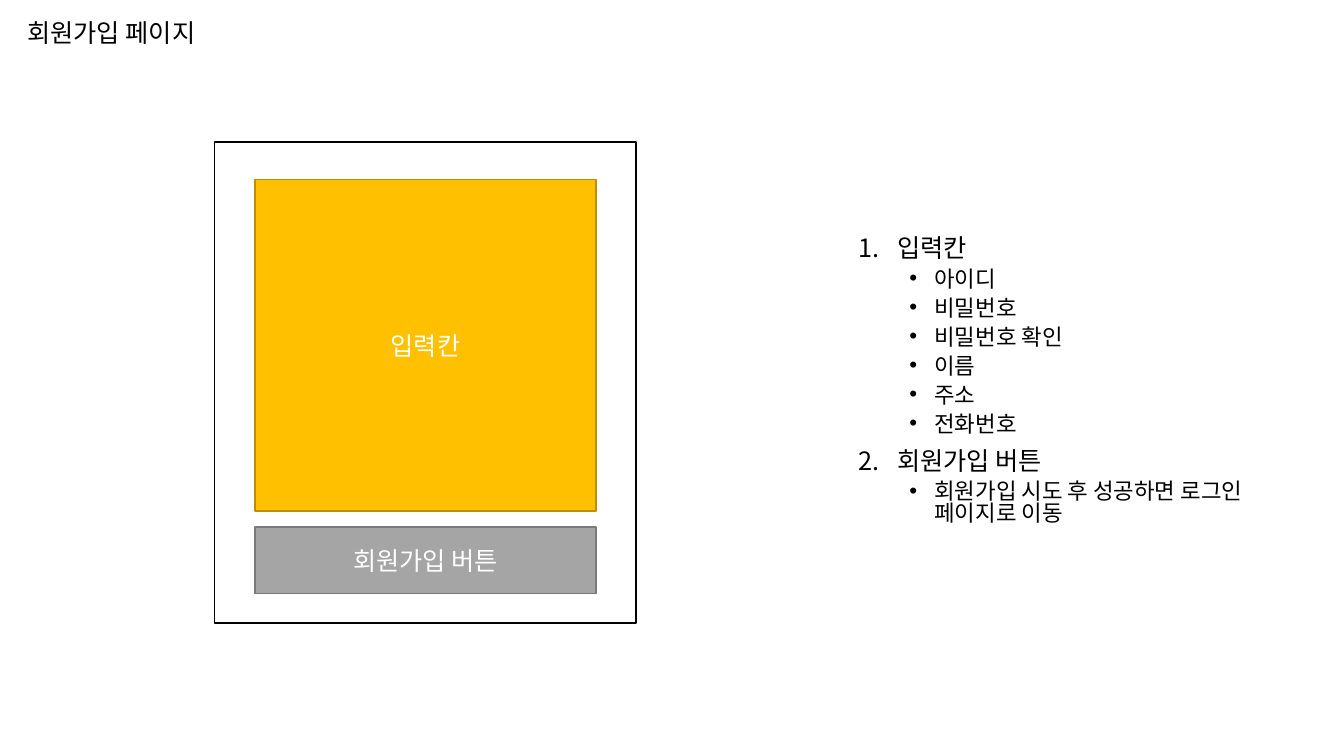
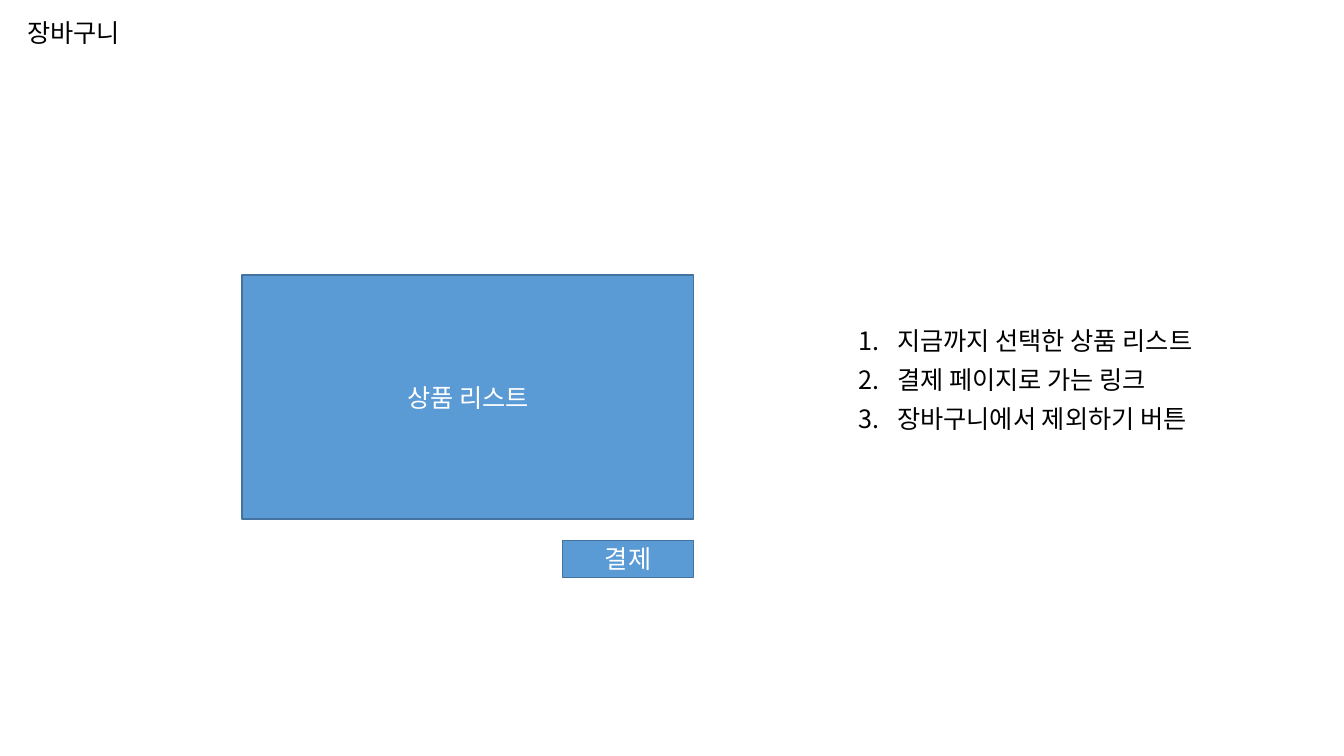
from dataclasses import dataclass

from lxml.etree import SubElement
from pptx import Presentation
from pptx.dml.color import RGBColor
from pptx.enum.shapes import MSO_SHAPE
from pptx.enum.text import MSO_ANCHOR, MSO_AUTO_SIZE, PP_ALIGN
from pptx.oxml.ns import qn
from pptx.util import Inches, Pt


@dataclass(frozen=True)
class Theme:
    font: str = "Noto Sans CJK KR"
    black: str = "000000"
    white: str = "FFFFFF"
    gold: tuple = ("FFC000", "BD8E00")  # fill, outline
    gray: tuple = ("A5A5A5", "7A7A7A")
    blue: tuple = ("5B9BD5", "43739E")
    paper: tuple = ("FFFFFF", "000000")
    main_size: int = 18
    detail_size: int = 16
    title_spacing: float = 0.9
    list_spacing: float = 0.82


THEME = Theme()
TITLE_ONLY = 5


def write(paragraph, text, *, size=THEME.main_size, color=THEME.black,
          align=PP_ALIGN.LEFT, spacing=None, before=0):
    """Put one formatted run into a paragraph."""
    paragraph.alignment = align
    paragraph.space_before = Pt(before)
    if spacing:
        paragraph.line_spacing = spacing
    run = paragraph.add_run()
    run.text = text
    run.font.size = Pt(size)
    run.font.name = THEME.font
    run.font.color.rgb = RGBColor.from_string(color)
    SubElement(run.font._element, qn("a:ea"), typeface=THEME.font)


def mark(paragraph, level):
    """Number a main item, or bullet a detail, with a hanging indent."""
    left, hanging = ((0.38, 0.38), (0.75, 0.25))[level]
    paragraph.level = level
    properties = paragraph._p.get_or_add_pPr()
    properties.set("marL", str(Inches(left)))
    properties.set("indent", str(-Inches(hanging)))
    if level:
        SubElement(properties, qn("a:buFont"), typeface="Arial")
        SubElement(properties, qn("a:buChar"), char="•")
    else:
        SubElement(properties, qn("a:buFont"), typeface="+mj-lt")
        SubElement(properties, qn("a:buAutoNum"), type="arabicPeriod")


class Wireframe:
    def __init__(self, theme):
        self.theme = theme
        self.deck = Presentation()
        self.deck.slide_width = Inches(13.33)
        self.deck.slide_height = Inches(7.5)
        self.slide = None

    def page(self, heading):
        self.slide = self.deck.slides.add_slide(self.deck.slide_layouts[TITLE_ONLY])
        title = self.slide.shapes.title
        title.left, title.top = Inches(0.17), Inches(0.1)
        title.width, title.height = Inches(4.47), Inches(0.48)
        frame = title.text_frame
        frame.auto_size = MSO_AUTO_SIZE.NONE
        frame.vertical_anchor = MSO_ANCHOR.MIDDLE
        write(frame.paragraphs[0], heading, spacing=self.theme.title_spacing)

    def block(self, left, top, width, height, colors, label=None):
        rectangle = self.slide.shapes.add_shape(
            MSO_SHAPE.RECTANGLE, Inches(left), Inches(top), Inches(width), Inches(height))
        fill, outline = colors
        rectangle.shadow.inherit = False
        rectangle.fill.solid()
        rectangle.fill.fore_color.rgb = RGBColor.from_string(fill)
        rectangle.line.color.rgb = RGBColor.from_string(outline)
        rectangle.line.width = Pt(1)
        if label:
            rectangle.text_frame.vertical_anchor = MSO_ANCHOR.MIDDLE
            write(rectangle.text_frame.paragraphs[0], label,
                  color=self.theme.white, align=PP_ALIGN.CENTER)

    def description(self, items):
        """List pairs of a main item and its details."""
        box = self.slide.shapes.add_textbox(
            Inches(8.42), Inches(0.51), Inches(4.37), Inches(6.56))
        frame = box.text_frame
        frame.word_wrap = True
        frame.vertical_anchor = MSO_ANCHOR.MIDDLE
        lines = [(level, text) for item, details in items
                 for level, text in [(0, item), *((1, detail) for detail in details)]]
        for index, (level, text) in enumerate(lines):
            paragraph = frame.add_paragraph() if index else frame.paragraphs[0]
            write(paragraph, text, spacing=self.theme.list_spacing,
                  size=self.theme.detail_size if level else self.theme.main_size,
                  before=5 if level else 10)
            mark(paragraph, level)


def sign_up(wireframe):
    wireframe.page("회원가입 페이지")
    wireframe.description([
        ("입력칸", ["아이디", "비밀번호", "비밀번호 확인", "이름", "주소", "전화번호"]),
        ("회원가입 버튼", ["회원가입 시도 후 성공하면 로그인 페이지로 이동"]),
    ])
    # Form: fields and button share a margin inside the frame
    left, width, margin = 2.13, 4.18, 0.4
    wireframe.block(left, 1.41, width, 4.77, THEME.paper)
    for top, height, colors, label in (
        (1.78, 3.29, THEME.gold, "입력칸"),
        (5.23, 0.66, THEME.gray, "회원가입 버튼"),
    ):
        wireframe.block(left + margin, top, width - 2 * margin, height, colors, label)


def cart(wireframe):
    wireframe.page("장바구니")
    wireframe.description([
        ("지금까지 선택한 상품 리스트", []),
        ("결제 페이지로 가는 링크", []),
        ("장바구니에서 제외하기 버튼", []),
    ])
    # Product list with the payment button aligned to its right edge
    right = 6.88
    for top, width, height, label in (
        (2.73, 4.48, 2.42, "상품 리스트"),
        (5.36, 1.3, 0.37, "결제"),
    ):
        wireframe.block(right - width, top, width, height, THEME.blue, label)


def main():
    wireframe = Wireframe(THEME)
    sign_up(wireframe)
    cart(wireframe)
    wireframe.deck.save("out.pptx")


if __name__ == "__main__":
    main()
